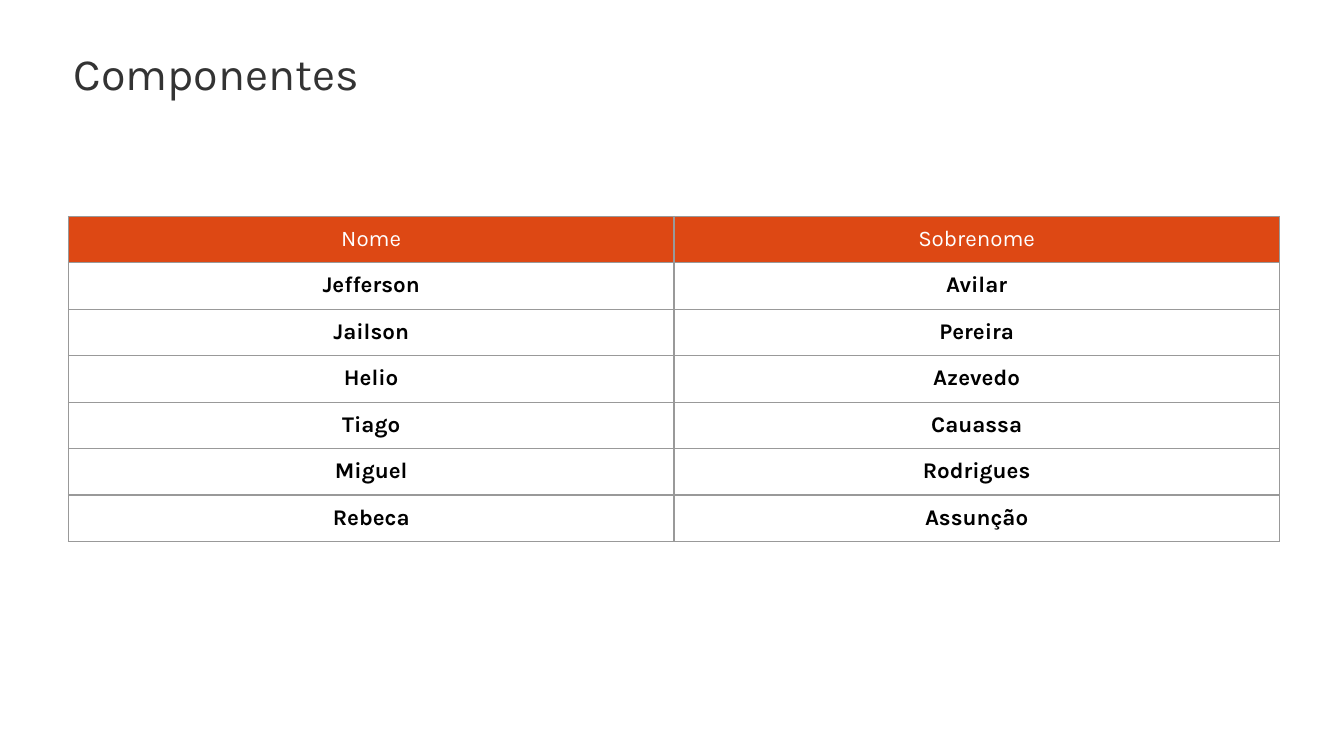
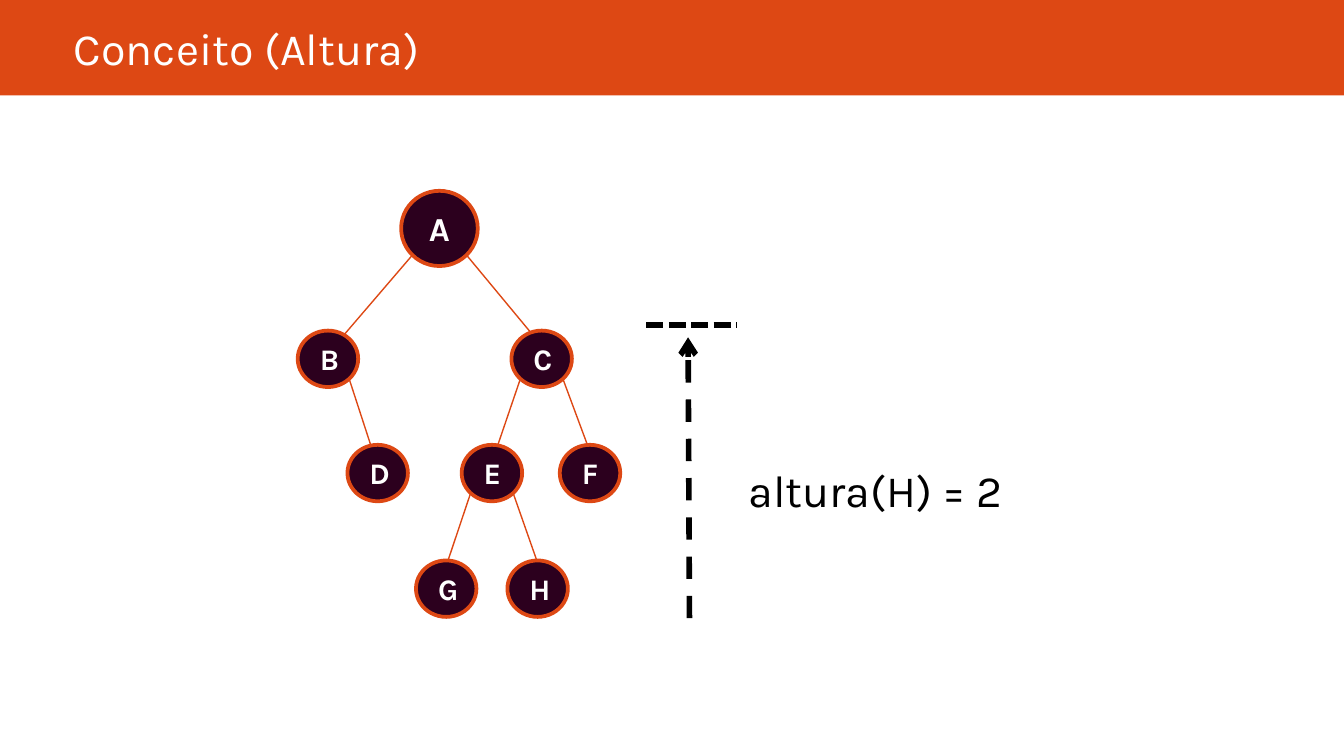
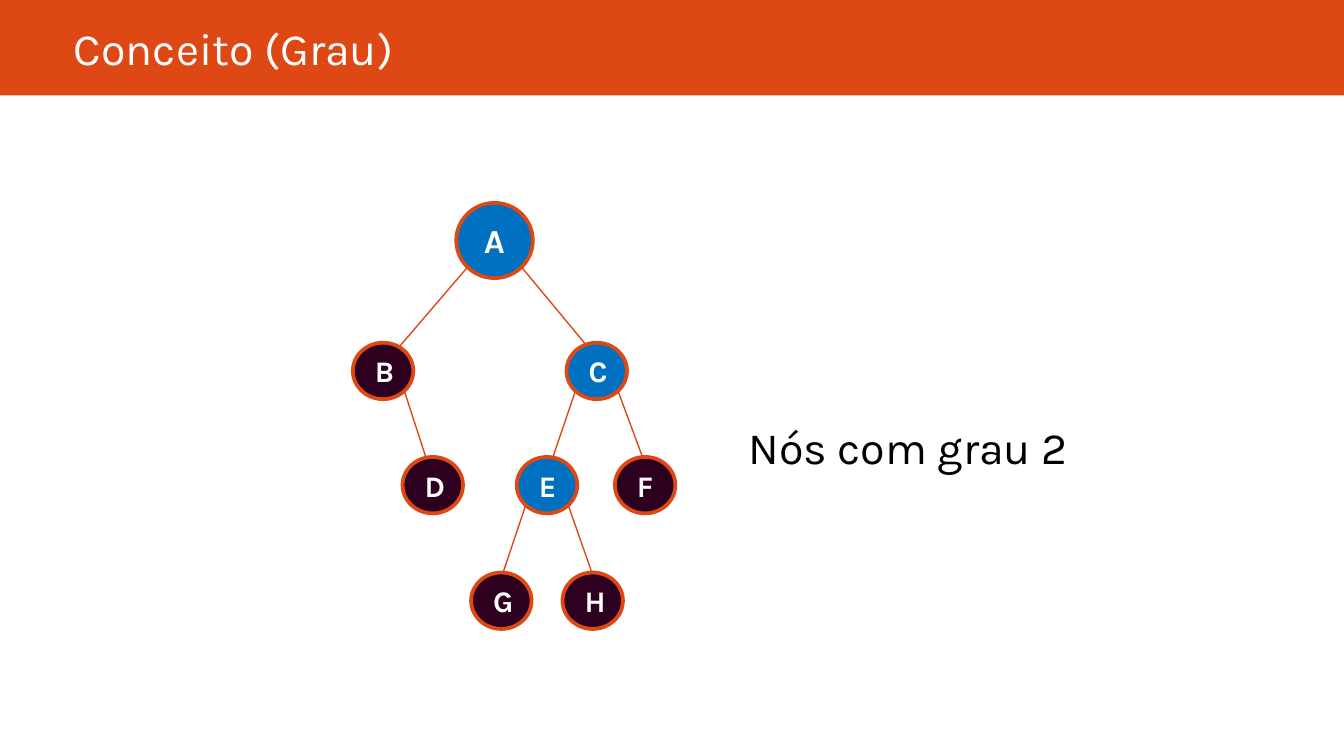
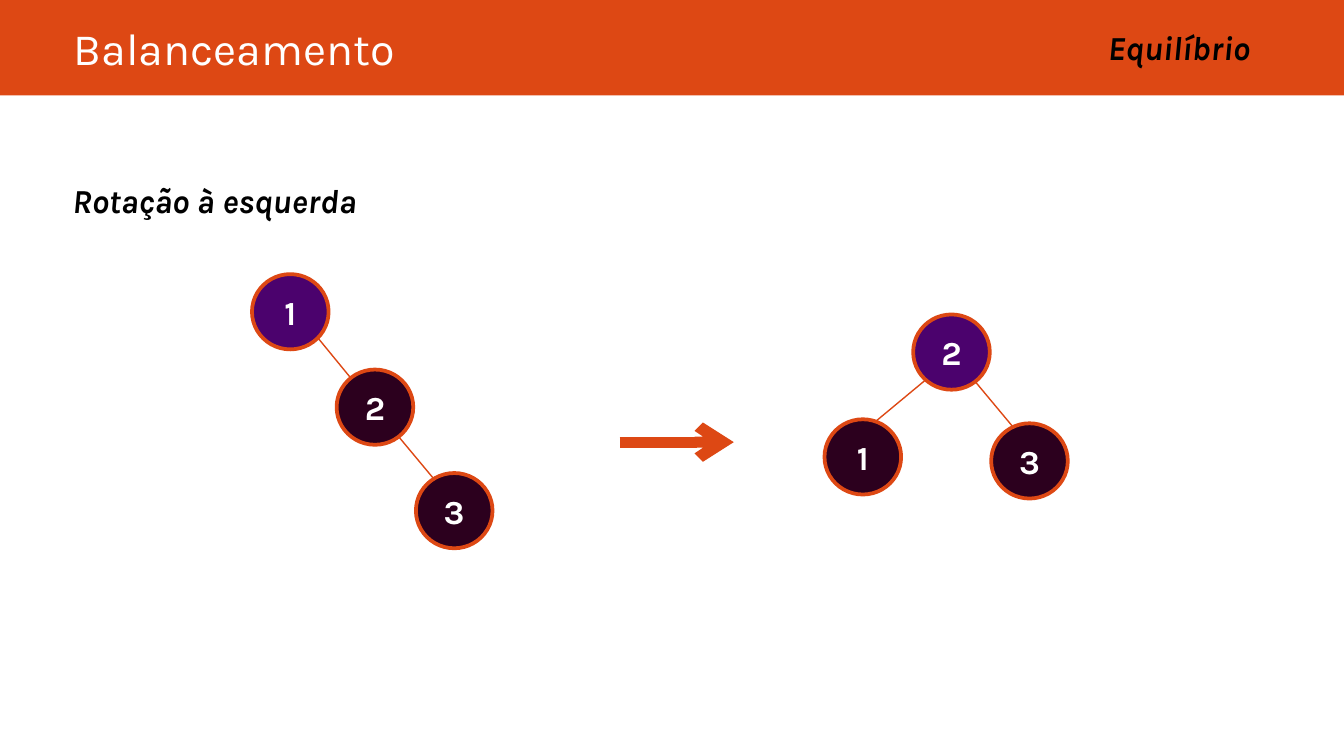
"""Four slides on binary trees: the team table, height, degree and left rotation."""
from lxml import etree
from pptx import Presentation
from pptx.dml.color import RGBColor
from pptx.enum.dml import MSO_LINE
from pptx.enum.shapes import MSO_CONNECTOR, MSO_SHAPE
from pptx.enum.text import MSO_ANCHOR, MSO_AUTO_SIZE, PP_ALIGN
from pptx.oxml.ns import qn
from pptx.util import Inches, Pt

LEFT, CENTER, RIGHT = PP_ALIGN.LEFT, PP_ALIGN.CENTER, PP_ALIGN.RIGHT
TOP, MIDDLE = MSO_ANCHOR.TOP, MSO_ANCHOR.MIDDLE
DASH, SHORT_DASH = MSO_LINE.DASH, MSO_LINE.SQUARE_DOT
STRAIGHT, RECT, OVAL = MSO_CONNECTOR.STRAIGHT, MSO_SHAPE.RECTANGLE, MSO_SHAPE.OVAL
NO_FIT = MSO_AUTO_SIZE.NONE
ORANGE, PLUM, BLUE, PURPLE = "DD4814", "2C001E", "0070C0", "4B026D"
WHITE, BLACK, DARK, GREY = "FFFFFF", "000000", "333333", "999999"
FONT = "Karla"
WIDTH = 10
HEIGHT = WIDTH * 9 / 16
BAND = 0.71
BIG, SMALL = (0.57, 0.56, 18), (0.45, 0.42, 16)
rgb = RGBColor.from_string


def write(tf, text, size, color, align=LEFT, bold=False, italic=False):
    """Put one formatted run in the first paragraph of a text frame."""
    p = tf.paragraphs[0]
    p.alignment = align
    r = p.add_run()
    r.text = text
    r.font.name, r.font.size = FONT, Pt(size)
    r.font.bold, r.font.italic = bold, italic
    r.font.color.rgb = rgb(color)


def add_slide(title, top, height, width, color, anchor):
    """Add a title-only slide and place its title."""
    s = prs.slides.add_slide(prs.slide_layouts[5])
    sp = s.shapes.title
    sp.left, sp.top, sp.width, sp.height = map(Inches, (0.45, top, width, height))
    tf = sp.text_frame
    tf.auto_size, tf.vertical_anchor = NO_FIT, anchor
    tf.margin_top = tf.margin_bottom = Inches(0.1)
    write(tf, title, 24, color)
    return s


prs = Presentation()
prs.slide_width, prs.slide_height = Inches(WIDTH), Inches(HEIGHT)

s = add_slide("Componentes", 0.24, 0.37, 5.78, DARK, TOP)
people = [("Nome", "Sobrenome"), ("Jefferson", "Avilar"), ("Jailson", "Pereira"),
          ("Helio", "Azevedo"), ("Tiago", "Cauassa"), ("Miguel", "Rodrigues"),
          ("Rebeca", "Assunção")]
box = map(Inches, (0.51, 1.61, 9.01, 2.42))
table = s.shapes.add_table(len(people), 2, *box).table
table.first_row = table.horz_banding = False
for i, person in enumerate(people):
    for j, name in enumerate(person):
        cell = table.cell(i, j)
        cell.margin_top = cell.margin_bottom = Inches(0.07)
        tcPr = cell._tc.get_or_add_tcPr()
        for side in ("a:lnL", "a:lnR", "a:lnT", "a:lnB"):
            ln = etree.SubElement(tcPr, qn(side), w=str(Pt(0.75)))
            fill = etree.SubElement(ln, qn("a:solidFill"))
            etree.SubElement(fill, qn("a:srgbClr"), val=GREY)
        cell.fill.solid()
        cell.fill.fore_color.rgb = rgb(WHITE if i else ORANGE)
        write(cell.text_frame, name, 12, BLACK if i else WHITE, CENTER, bold=i > 0)

tree = {"A": (0, 0), "B": (-0.83, 0.97), "C": (0.76, 0.97), "D": (-0.46, 1.82),
        "E": (0.39, 1.82), "F": (1.12, 1.82), "G": (0.05, 2.68), "H": (0.73, 2.68)}
branches = [("A", "B", -1, 0.01), ("A", "C", 1, 0.04), ("B", "D", 1, 0),
            ("C", "E", -1, -0.01), ("C", "F", 1, 0.04), ("E", "G", -1, -0.04),
            ("E", "H", 1, 0.05)]

diagrams = []
for title, x, y, marked, lines, label in [
        ("Conceito (Altura)", 3.27, 1.7, "",
         [(5.13, 4.6, 5.12, 2.51, BLACK, 3, DASH, True),
          (4.81, 2.42, 5.48, 2.42, BLACK, 3, SHORT_DASH, False)],
         ("altura(H) = 2", 5.47, 3.38, 2.31, 0.52, 24, LEFT, False)),
        ("Conceito (Grau)", 3.68, 1.79, "ACE", [],
         ("Nós com grau 2", 5.47, 3.06, 2.77, 0.52, 24, LEFT, False))]:
    nodes = [(n, x + dx, y + dy, BLUE if n in marked else PLUM,
              BIG if n == "A" else SMALL) for n, (dx, dy) in tree.items()]
    for parent, child, side, nudge in branches:
        (px, py), (cx, cy) = tree[parent], tree[child]
        w, h, size = BIG if parent == "A" else SMALL
        lines.append((x + px + side * w * 0.35, y + py + h * 0.35,
                      x + cx + nudge, y + cy - 0.05, ORANGE, 0.75, None, False))
    diagrams.append((title, lines, nodes, [label]))

edges = [(2.37, 2.52, 2.96, 3.24), (2.65, 2.87, 3.25, 3.59),
         (6.39, 3.24, 7.1, 2.65), (6.94, 2.46, 7.54, 3.18)]
nodes = [("1", 2.16, 2.32, PURPLE), ("2", 2.79, 3.03, PLUM), ("3", 3.38, 3.8, PLUM),
         ("1", 6.42, 3.4, PLUM), ("2", 7.08, 2.62, PURPLE), ("3", 7.66, 3.43, PLUM)]
diagrams.append((
    "Balanceamento",
    [(*edge, ORANGE, 0.75, None, False) for edge in edges]
    + [(4.61, 3.29, 5.46, 3.29, ORANGE, 6, None, True)],
    [(*node, BIG) for node in nodes],
    [("Equilíbrio", 6.79, 0.15, 2.61, 0.4, 18, RIGHT, True),
     ("Rotação à esquerda", 0.44, 1.29, 2.61, 0.4, 18, LEFT, True)]))

for title, lines, nodes, labels in diagrams:
    s = add_slide(title, 0, BAND, 9.05, WHITE, MIDDLE)
    band = s.shapes.add_shape(RECT, 0, 0, Inches(WIDTH), Inches(BAND))
    band.shadow.inherit = False
    band.fill.solid()
    band.fill.fore_color.rgb = rgb(ORANGE)
    band.line.fill.background()
    s.shapes.title._element.addprevious(band._element)

    for *ends, color, width, dash, arrow in lines:
        line = s.shapes.add_connector(STRAIGHT, *map(Inches, ends))
        line.line.color.rgb = rgb(color)
        line.line.width = Pt(width)
        if dash:
            line.line.dash_style = dash
        spPr = line._element.spPr
        if arrow:
            etree.SubElement(spPr.find(qn("a:ln")), qn("a:tailEnd"), type="arrow")
        etree.SubElement(spPr, qn("a:effectLst"))

    for text, x, y, color, (w, h, size) in nodes:
        sp = s.shapes.add_shape(OVAL, *map(Inches, (x - w / 2, y - h / 2, w, h)))
        sp.shadow.inherit = False
        sp.fill.solid()
        sp.fill.fore_color.rgb = rgb(color)
        sp.line.color.rgb = rgb(ORANGE)
        sp.line.width = Pt(2)
        write(sp.text_frame, text, size, WHITE, CENTER, bold=True)

    for text, *box, size, align, strong in labels:
        tf = s.shapes.add_textbox(*map(Inches, box)).text_frame
        tf.word_wrap, tf.vertical_anchor = True, MIDDLE
        write(tf, text, size, BLACK, align, strong, strong)

prs.save("out.pptx")
